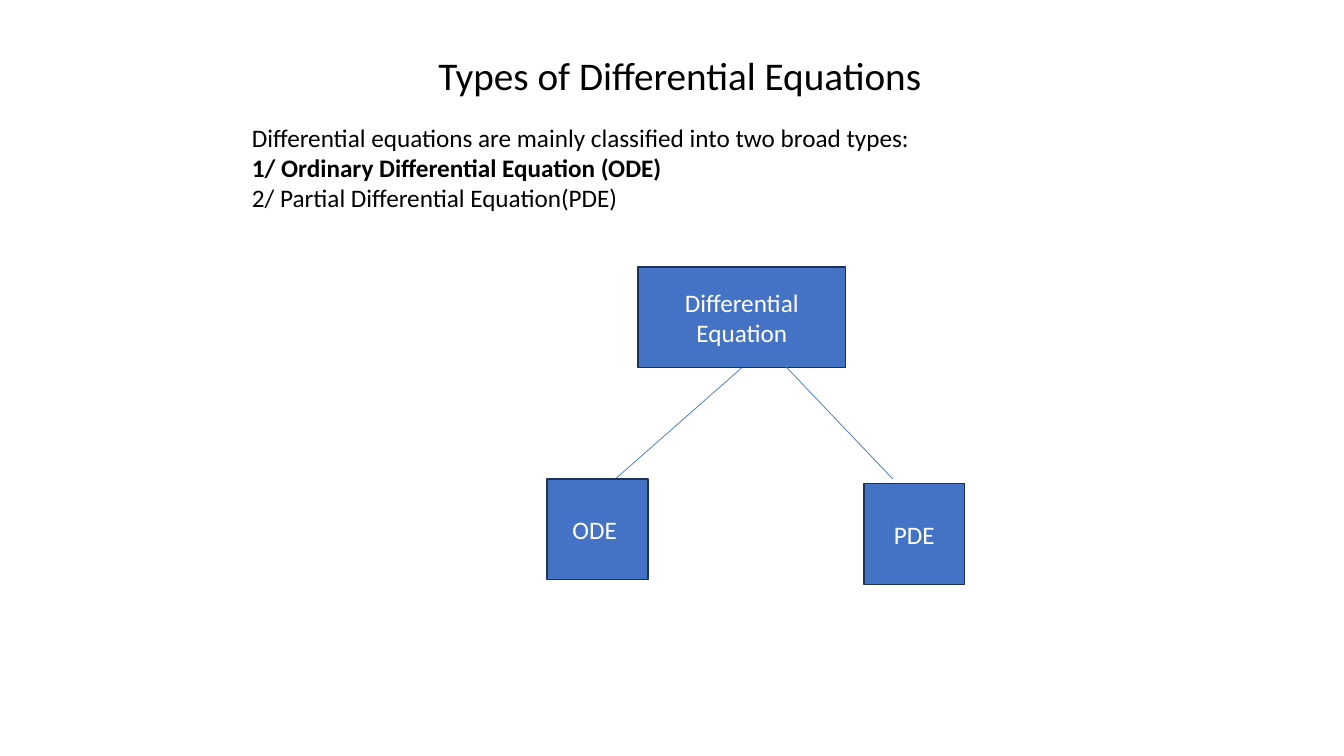
"""Build a slide that shows the two types of differential equations."""
from lxml.etree import SubElement
from pptx import Presentation
from pptx.dml.color import RGBColor
from pptx.enum.shapes import MSO_CONNECTOR as Connector, MSO_SHAPE as Shape
from pptx.enum.text import MSO_ANCHOR as Anchor, PP_ALIGN as Align
from pptx.oxml.ns import qn
from pptx.util import Cm, Pt

BLACK, WHITE, BLUE, NAVY = "000000", "FFFFFF", "4472C4", "1E3256"
SIDE = 2.54

TEXTS = [
    ((10.8, 1.17, 12.83, 1.45), False, 28,
     [("Types of Differential Equations", False)]),
    ((6.1, 2.95, 17.3, 2.57), False, 18,
     [("Differential equations are mainly classified into two broad types:", False),
      ("1/ Ordinary Differential Equation (ODE)", True),
      ("2/ Partial Differential Equation(PDE)", False)]),
]
ROOT = ("Differential Equation", 16.08, 6.73, 5.23)
BRANCHES = [
    (("PDE", 21.77, 12.19, SIDE), (19.69, 9.12), (22.5, 12.07)),
    (("ODE ", 13.79, 12.07, SIDE), (18.69, 9.27), (15.37, 12.19)),
]


def color(value):
    return RGBColor.from_string(value)


def write(frame, lines, size, ink, align):
    for index, (text, bold) in enumerate(lines):
        para = frame.add_paragraph() if index else frame.paragraphs[0]
        para.alignment = align
        span = para.add_run()
        span.text = text
        style = {"name": "Calibri", "size": Pt(size), "bold": bold}
        for name, value in style.items():
            setattr(span.font, name, value)
        span.font.color.rgb = color(ink)


def add_text(page, place, wrap, size, lines):
    frame = page.shapes.add_textbox(*map(Cm, place)).text_frame
    frame.word_wrap = wrap
    write(frame, lines, size, BLACK, Align.LEFT)


def add_node(page, label, left, top, width):
    box = page.shapes.add_shape(Shape.RECTANGLE, *map(Cm, (left, top, width, SIDE)))
    box.shadow.inherit = False
    box.fill.solid()
    box.fill.fore_color.rgb = color(BLUE)
    box.line.color.rgb = color(NAVY)
    box.line.width = Pt(1)
    frame = box.text_frame
    frame.word_wrap = True
    frame.vertical_anchor = Anchor.MIDDLE
    write(frame, [(label, False)], 18, WHITE, Align.CENTER)


def add_link(page, start, end):
    link = page.shapes.add_connector(Connector.STRAIGHT, *map(Cm, start + end))
    link.line.color.rgb = color(BLUE)
    link.line.width = Pt(0.5)
    SubElement(link._element.spPr, qn("a:effectLst"))


def main():
    deck = Presentation()
    deck.slide_width, deck.slide_height = Cm(33.87), Cm(19.05)
    page = deck.slides.add_slide(deck.slide_layouts[6])
    for text in TEXTS:
        add_text(page, *text)
    add_node(page, *ROOT)
    for _, start, end in BRANCHES:
        add_link(page, start, end)
    for node, _, _ in BRANCHES:
        add_node(page, *node)
    deck.save("out.pptx")


if __name__ == "__main__":
    main()
